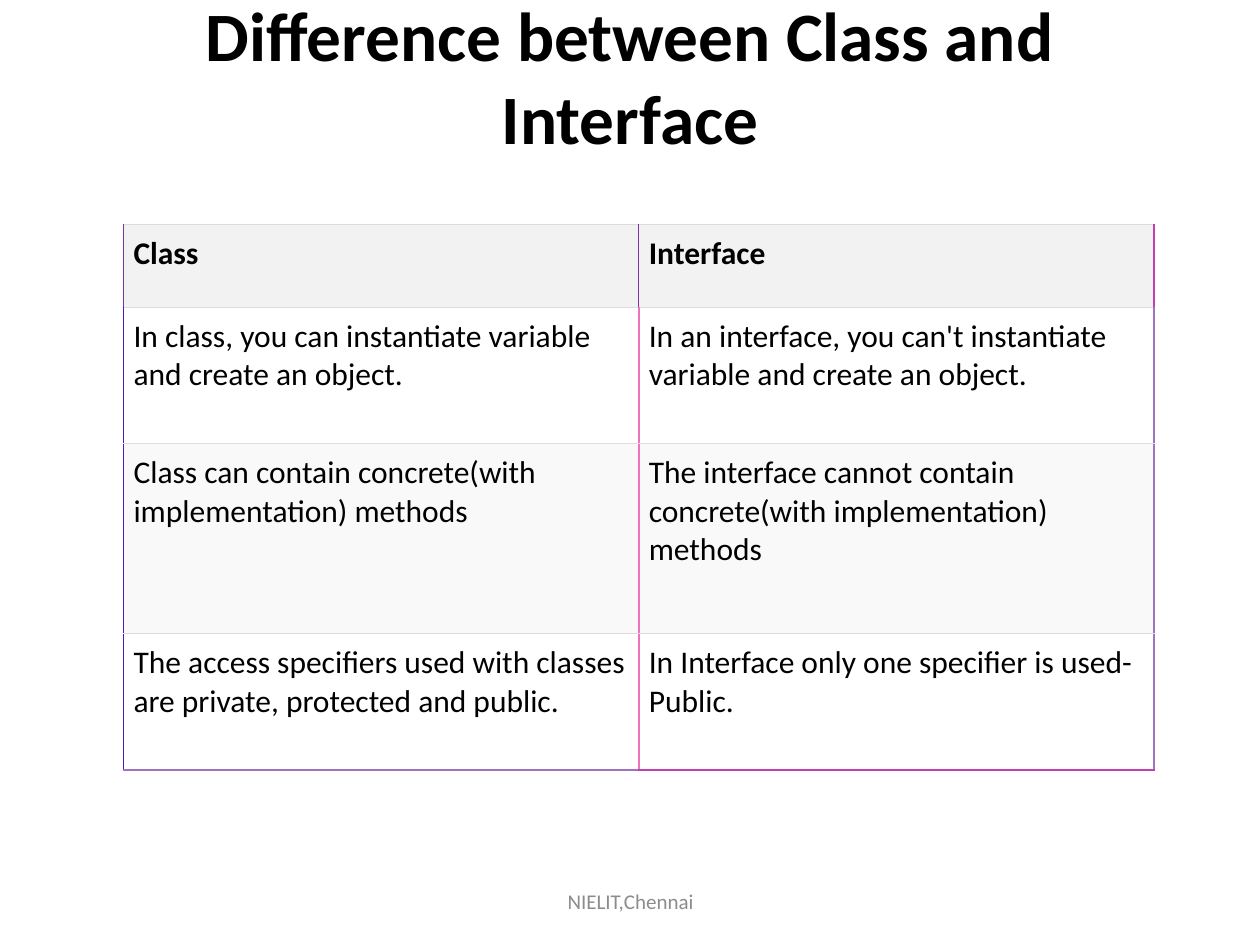
import pptx
import pptx.dml.color
import pptx.enum.text
import pptx.oxml.ns
import pptx.util
from lxml import etree
from pptx.util import Inches

TITLE = "Difference between Class and Interface"
FOOTER = "NIELIT,Chennai"
ROWS = [
    ("Class", "Interface"),
    ("In class, you can instantiate variable and create an object.",
     "In an interface, you can't instantiate variable and create an object."),
    ("Class can contain concrete(with implementation) methods",
     "The interface cannot contain concrete(with implementation) methods"),
    ("The access specifiers used with classes are private, protected and public.",
     "In Interface only one specifier is used- Public."),
]
ROW_HEIGHTS = [0.66, 1.08, 1.51, 1.08]
COL_WIDTH = 4.09
FONT = "Calibri"
COLORS = {
    "text": "000000", "footer": "8C8C8C", "header": "F2F2F2",
    "plain": "FFFFFF", "band": "F9F9F9", "rule": "DDDDDD",
    "purple": "7835A0", "magenta": "C040B3", "indigo": "501ABB",
    "pink": "F072BF", "lilac": "A073BF",
}
FILLS = ["header", "plain", "band", "plain"]
HEADER_VERTICALS = [("purple", 0.75), ("purple", 0.75), ("magenta", 1)]
BODY_VERTICALS = [("indigo", 1), ("pink", 1), ("lilac", 1)]
BOTTOM_EDGE = [("lilac", 1), ("magenta", 1)]
RULE = ("rule", 0.75)


def rgb(name):
    return pptx.dml.color.RGBColor.from_string(COLORS[name])


def style(p, size, color="text", bold=False, align=pptx.enum.text.PP_ALIGN.LEFT):
    p.alignment = align
    p.font.name = FONT
    p.font.size = pptx.util.Pt(size)
    p.font.bold = bold
    p.font.color.rgb = rgb(color)


def set_borders(cell, borders):
    qn = pptx.oxml.ns.qn
    tc_pr = cell._tc.get_or_add_tcPr()
    for i, (side, (color, width)) in enumerate(borders.items()):
        ln = etree.Element(qn(f"a:ln{side}"), w=str(pptx.util.Pt(width)))
        fill = etree.SubElement(ln, qn("a:solidFill"))
        etree.SubElement(fill, qn("a:srgbClr"), val=COLORS[color])
        tc_pr.insert(i, ln)


def add_title(s):
    title = s.shapes.title
    title.left, title.top, title.width, title.height = map(Inches, (0.5, 0.3, 9, 1.25))
    tf = title.text_frame
    tf.text = TITLE
    tf.auto_size = pptx.enum.text.MSO_AUTO_SIZE.NONE
    tf.vertical_anchor = pptx.enum.text.MSO_ANCHOR.BOTTOM
    tf.margin_top, tf.margin_bottom = 0, Inches(0.29)
    style(tf.paragraphs[0], 39.6, bold=True, align=pptx.enum.text.PP_ALIGN.CENTER)


def add_comparison(s):
    table = s.shapes.add_table(
        len(ROWS), 2, Inches(0.98), Inches(1.78),
        Inches(2 * COL_WIDTH), Inches(sum(ROW_HEIGHTS))).table
    for col in table.columns:
        col.width = Inches(COL_WIDTH)
    for r, texts in enumerate(ROWS):
        table.rows[r].height = Inches(ROW_HEIGHTS[r])
        verticals = BODY_VERTICALS if r else HEADER_VERTICALS
        for c, text in enumerate(texts):
            cell = table.cell(r, c)
            cell.text = text
            cell.margin_left = cell.margin_right = Inches(0.08)
            cell.margin_top = cell.margin_bottom = Inches(0.08)
            style(cell.text_frame.paragraphs[0], 18, bold=r == 0)
            cell.fill.solid()
            cell.fill.fore_color.rgb = rgb(FILLS[r])
            bottom = BOTTOM_EDGE[c] if r == len(ROWS) - 1 else RULE
            set_borders(cell, {"L": verticals[c], "R": verticals[c + 1],
                               "T": RULE, "B": bottom})


def add_footer(s):
    sp = s.shapes.add_textbox(*map(Inches, (3.42, 6.95, 3.17, 0.4)))
    tf = sp.text_frame
    tf.word_wrap = True
    tf.vertical_anchor = pptx.enum.text.MSO_ANCHOR.MIDDLE
    tf.text = FOOTER
    style(tf.paragraphs[0], 12, "footer", align=pptx.enum.text.PP_ALIGN.CENTER)


def main():
    prs = pptx.Presentation()
    prs.slide_width, prs.slide_height = Inches(10), Inches(7.5)
    s = prs.slides.add_slide(prs.slide_layouts[5])
    add_title(s)
    add_comparison(s)
    add_footer(s)
    prs.save("out.pptx")


if __name__ == "__main__":
    main()
